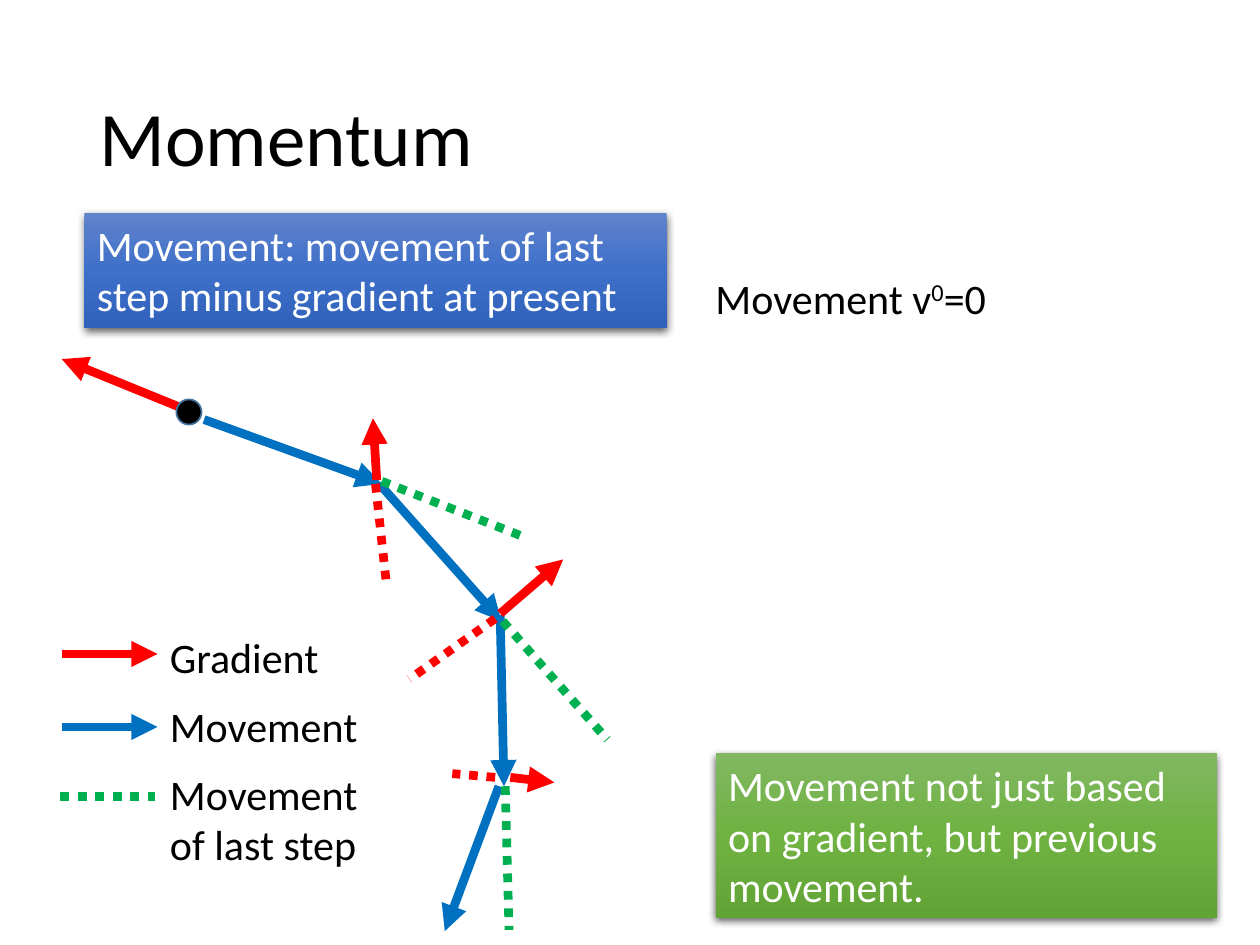
from copy import deepcopy

from lxml import etree
from pptx import Presentation
from pptx.dml.color import RGBColor
from pptx.enum.dml import MSO_LINE
from pptx.enum.shapes import MSO_CONNECTOR, MSO_SHAPE
from pptx.enum.text import MSO_ANCHOR, PP_ALIGN
from pptx.oxml.ns import qn
from pptx.util import Pt

STRAIGHT = MSO_CONNECTOR.STRAIGHT
DOTTED = MSO_LINE.ROUND_DOT
RECTANGLE, OVAL = MSO_SHAPE.RECTANGLE, MSO_SHAPE.OVAL
TOP, MIDDLE = MSO_ANCHOR.TOP, MSO_ANCHOR.MIDDLE
LEFT = PP_ALIGN.LEFT

EMU_PER_PX = 9144
FONT = "Calibri"
BLACK, WHITE, RED, BLUE, GREEN = "000000", "FFFFFF", "FF0000", "0070C0", "00B050"

TITLE = ((69, 40, 862, 145), "Momentum")
LABELS = [
    ((558, 211, 282, 50), [[("Movement v", 0), ("0", 30), ("=0", 0)]]),
    ((125, 496, 210, 50), [[("Gradient", 0)]]),
    ((125, 551, 210, 50), [[("Movement", 0)]]),
    ((125, 605, 331, 91), [[("Movement", 0)], [("of last step", 0)]]),
]
ARROWS = [
    (BLUE, [(162, 333, 303, 384), (301, 384, 398, 493), (397, 488, 400, 624),
            (396, 624, 353, 739), (49, 577, 125, 577)]),
    (RED, [(49, 519, 125, 519), (152, 327, 49, 285), (299, 381, 296, 332),
           (397, 487, 447, 444), (405, 617, 440, 621)]),
]
DOTTED_LINES = [
    (GREEN, [(303, 382, 413, 425), (399, 493, 482, 587), (401, 624, 404, 738),
             (48, 632, 123, 632)]),
    (RED, [(298, 384, 307, 466), (393, 491, 325, 539), (393, 617, 359, 614)]),
]
START_POINT = (140, 317, 20, 20)
CALLOUTS = [
    ((568, 598, 398, 131), ("81B861", "6FB242", "62A336"),
     "Movement not just based on gradient, but previous movement."),
    ((67, 169, 462, 91), ("6183CB", "3E70CA", "3062BB"),
     "Movement: movement of last step minus gradient at present"),
]


def emu(lengths):
    return [length * EMU_PER_PX for length in lengths]


def color(value):
    return RGBColor.from_string(value)


def write(shape, paragraphs, size=24, ink=BLACK, anchor=TOP, spacing=1.0):
    frame = shape.text_frame
    frame.word_wrap = True
    frame.vertical_anchor = anchor
    for index, runs in enumerate(paragraphs):
        paragraph = frame.add_paragraph() if index else frame.paragraphs[0]
        paragraph.alignment = LEFT
        paragraph.line_spacing = spacing
        for text, raised in runs:
            run = paragraph.add_run()
            run.text = text
            run.font.name = FONT
            run.font.size = Pt(size)
            run.font.color.rgb = color(ink)
            if raised:
                run._r.get_or_add_rPr().set("baseline", str(raised * 1000))


def add_line(slide, ends, ink, dotted=False):
    connector = slide.shapes.add_connector(STRAIGHT, *emu(ends))
    connector.line.color.rgb = color(ink)
    connector.line.width = Pt(5)
    if dotted:
        connector.line.dash_style = DOTTED
    else:
        line = connector.line._get_or_add_ln()
        etree.SubElement(line, qn("a:tailEnd"), type="triangle")
    etree.SubElement(connector._element.spPr, qn("a:effectLst"))


def add_start_point(slide):
    point = slide.shapes.add_shape(OVAL, *emu(START_POINT))
    point.shadow.inherit = False
    point.fill.solid()
    point.fill.fore_color.rgb = color(BLACK)
    point.line.color.rgb = color("43739E")
    point.line.width = Pt(1)


def add_callout(slide, box, shades, text):
    callout = slide.shapes.add_shape(RECTANGLE, *emu(box))
    callout.line.fill.background()
    callout.fill.gradient()
    callout.fill.gradient_angle = 270
    stop_list = next(callout._element.spPr.iter(qn("a:gsLst")))
    stop_list.insert(1, deepcopy(stop_list[0]))
    for stop, shade, position in zip(callout.fill.gradient_stops, shades, (0, 0.5, 1)):
        stop.color.rgb = color(shade)
        stop.position = position
    callout.shadow.inherit = False
    effects = callout._element.spPr.find(qn("a:effectLst"))
    shadow = etree.SubElement(
        effects, qn("a:outerShdw"), blurRad=str(Pt(4.5)), dist=str(Pt(1.5)),
        dir="5400000", algn="ctr", rotWithShape="0")
    shade = etree.SubElement(shadow, qn("a:srgbClr"), val=BLACK)
    etree.SubElement(shade, qn("a:alpha"), val="63000")
    write(callout, [[(text, 0)]], ink=WHITE)


def main():
    """Build the momentum slide and save it."""
    presentation = Presentation()
    presentation.slide_width, presentation.slide_height = emu((1000, 750))
    slide = presentation.slides.add_slide(presentation.slide_layouts[6])

    title_box, title = TITLE
    write(slide.shapes.add_textbox(*emu(title_box)), [[(title, 0)]],
          size=44, anchor=MIDDLE, spacing=0.9)
    for box, paragraphs in LABELS:
        write(slide.shapes.add_textbox(*emu(box)), paragraphs)
    for ink, arrows in ARROWS:
        for ends in arrows:
            add_line(slide, ends, ink)
    add_start_point(slide)
    for ink, lines in DOTTED_LINES:
        for ends in lines:
            add_line(slide, ends, ink, dotted=True)
    for box, shades, text in CALLOUTS:
        add_callout(slide, box, shades, text)
    presentation.save("out.pptx")


if __name__ == "__main__":
    main()
